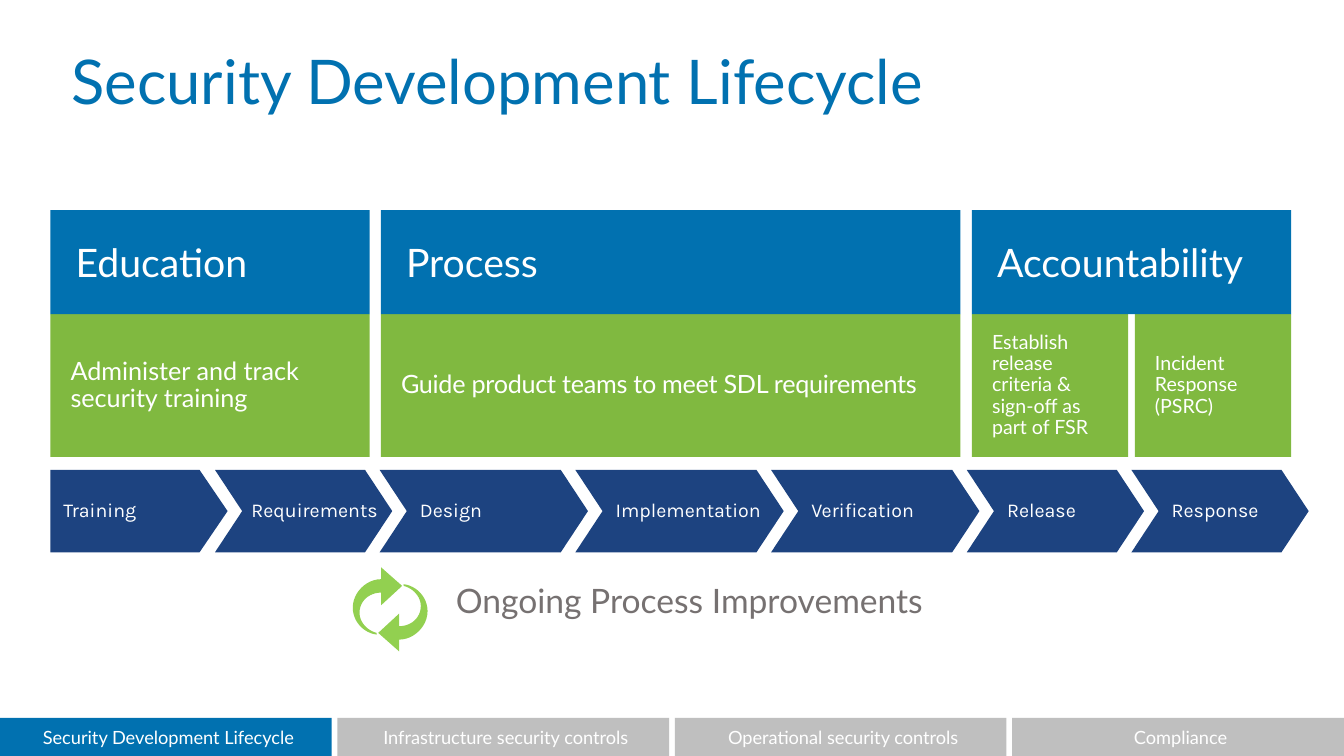
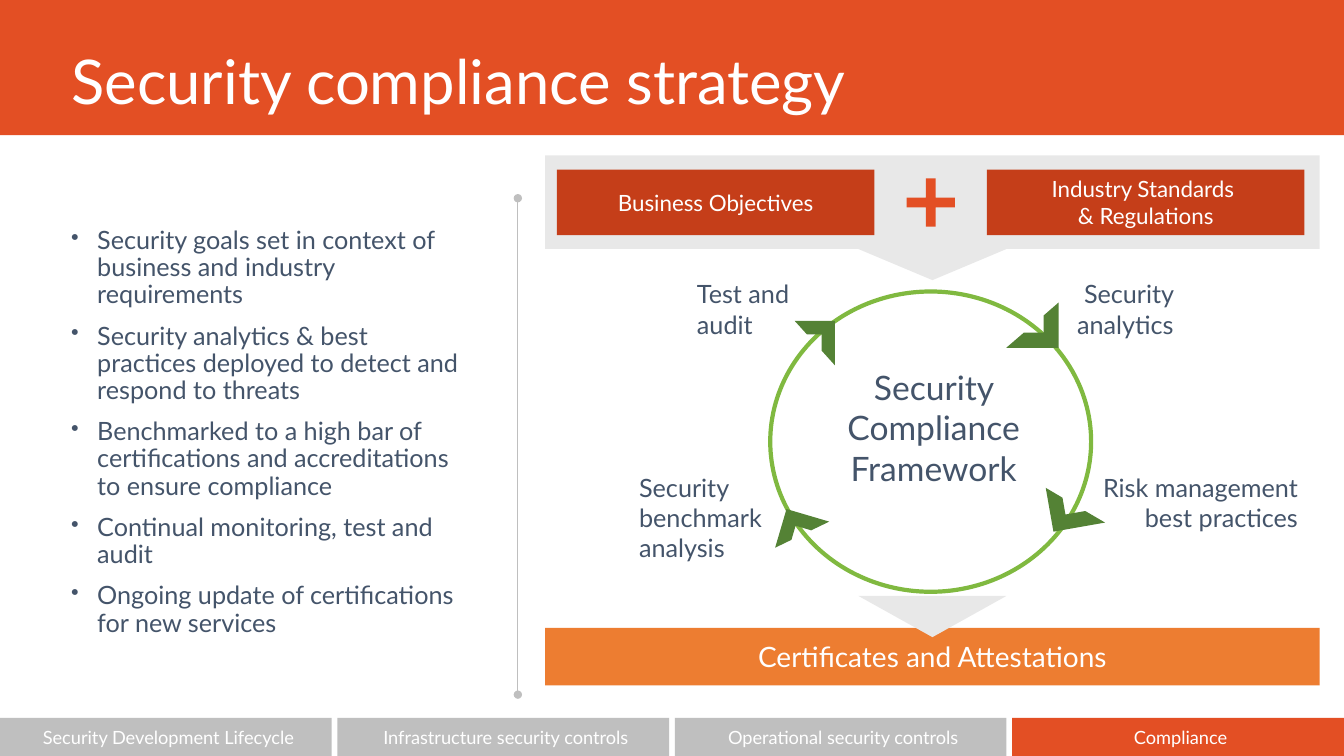
import dataclasses
import lxml.etree
import pptx
import pptx.dml.color
import pptx.enum.shapes
import pptx.enum.text
import pptx.oxml.ns
import pptx.util

RGB = pptx.dml.color.RGBColor
SHAPE = pptx.enum.shapes.MSO_SHAPE
ALIGN = pptx.enum.text.PP_ALIGN
ANCHOR = pptx.enum.text.MSO_ANCHOR
qn = pptx.oxml.ns.qn

WHITE = RGB(0xFF, 0xFF, 0xFF)
BLUE = RGB(0x01, 0x71, 0xB0)
NAVY = RGB(0x1D, 0x43, 0x80)
GREEN = RGB(0x80, 0xB9, 0x40)
DARK_GREEN = RGB(0x54, 0x82, 0x35)
LIME = RGB(0x92, 0xD0, 0x50)
ORANGE_RED = RGB(0xE3, 0x4F, 0x24)
BRICK = RGB(0xC5, 0x3E, 0x19)
ORANGE = RGB(0xED, 0x7D, 0x31)
GREY = RGB(0xBF, 0xBF, 0xBF)
PALE_GREY = RGB(0xE8, 0xE8, 0xE8)
TEXT_GREY = RGB(0x76, 0x71, 0x71)
SLATE = RGB(0x44, 0x54, 0x6A)

COLS, ROWS = 160, 90
CELL = pptx.util.Inches(1) / 12
SECTIONS = ["Security Development Lifecycle", "Infrastructure security controls",
            "Operational security controls", "Compliance"]


def cells(n):
    return pptx.util.Emu(round(n * CELL))


@dataclasses.dataclass
class Box:
    """A rectangle in grid cells."""
    x: float
    y: float
    w: float
    h: float

    def sub(self, x, y, w, h):
        """A box whose corner is counted from this box's corner."""
        return Box(self.x + x, self.y + y, w, h)

    def point(self, across, down):
        """The slide position at the given shares of this box."""
        return cells(self.x + across * self.w), cells(self.y + down * self.h)

    def emu(self):
        return [cells(n) for n in (self.x, self.y, self.w, self.h)]


def write(sp, paragraphs, size, color=WHITE, font="Lato", align=ALIGN.LEFT,
          anchor=ANCHOR.MIDDLE, insets=(1.2, 0.6, 1.2, 0.6), leading=1.0,
          before=0, indent=0, bullet=None, tracking=0, wrap=True):
    tf = sp.text_frame
    tf.auto_size = pptx.enum.text.MSO_AUTO_SIZE.NONE
    tf.word_wrap = wrap
    tf.vertical_anchor = anchor
    tf.margin_left, tf.margin_top, tf.margin_right, tf.margin_bottom = map(cells, insets)
    if isinstance(paragraphs, str):
        paragraphs = [paragraphs]
    for i, text in enumerate(paragraphs):
        p = tf.add_paragraph() if i else tf.paragraphs[0]
        p.text = text
        p.alignment = align
        p.line_spacing = leading
        p.space_before = pptx.util.Pt(before if i else 0)
        pPr = p._p.get_or_add_pPr()
        if indent:
            pPr.set("marL", str(cells(indent)))
        if bullet:
            pPr.set("indent", str(-cells(indent)))
            lxml.etree.SubElement(pPr, qn("a:buSzPct")).set("val", "90000")
            lxml.etree.SubElement(pPr, qn("a:buChar")).set("char", bullet)
        for r in p.runs:
            r.font.size = pptx.util.Pt(size)
            r.font.name = font
            r.font.color.rgb = color
            if tracking:
                r._r.get_or_add_rPr().set("spc", str(round(tracking * 100)))


def paint(sp, fill):
    sp.shadow.inherit = False
    sp.fill.solid()
    sp.fill.fore_color.rgb = fill
    sp.line.fill.background()


def add_shape(s, box, fill, kind=SHAPE.RECTANGLE, adjust=None, turn=0, flip=False):
    sp = s.shapes.add_shape(kind, *box.emu())
    paint(sp, fill)
    if adjust is not None:
        sp.adjustments[0] = adjust
    sp.rotation = turn
    if flip:
        sp.element.spPr.find(qn("a:xfrm")).set("flipV", "1")
    return sp


def add_text(s, box, paragraphs, size, color, **style):
    sp = s.shapes.add_textbox(*box.emu())
    write(sp, paragraphs, size, color, anchor=ANCHOR.TOP, **style)


def title_slide(prs, title, accent, section, color, band=False):
    """Slide with a title and a section bar that marks the current section."""
    s = prs.slides.add_slide(prs.slide_layouts[5])
    if band:
        add_shape(s, Box(0, 0, COLS, 16.1), accent)
    sp = s.shapes.title
    s.shapes._spTree.append(sp.element)
    sp.left, sp.top, sp.width, sp.height = Box(7.3, 5.5, 145.4, 9.2).emu()
    write(sp, title, 44, color, leading=0.9)
    section_bar(s, Box(0, 85.45, COLS, ROWS - 85.45), section, accent)
    return s


def section_bar(s, box, current, accent):
    gap = 0.67
    w = (box.w - gap * (len(SECTIONS) - 1)) / len(SECTIONS)
    for i, name in enumerate(SECTIONS):
        tab = add_shape(s, box.sub(i * (w + gap), 0, w, box.h),
                        accent if name == current else GREY)
        write(tab, name, 13, align=ALIGN.CENTER, insets=(1.2, 0.6, 0.6, 0.6))


def pillars(s, box):
    """Blue headings, each over one or more green cells."""
    gap, split, head = 1.35, 0.8, 12.4
    columns = [
        (38, "Education", 18, 0, [["Administer and track \vsecurity training"]]),
        (69, "Process", 18, -0.2, [["Guide product teams to meet SDL requirements"]]),
        (38, "Accountability", 14, 0,
         [["Establish release criteria & sign-off as part of FSR"],
          ["Incident", "Response (PSRC)"]]),
    ]
    x = 0
    for w, heading, size, tracking, notes in columns:
        note_w = (w - split * (len(notes) - 1)) / len(notes)
        for i, note in enumerate(notes):
            sp = add_shape(s, box.sub(x + i * (note_w + split), head, note_w, box.h - head),
                           GREEN)
            write(sp, note, size, leading=0.9, tracking=tracking,
                  insets=(2.4, 1.4, 2.4, 1.4))
        sp = add_shape(s, box.sub(x, 0, w, head), BLUE)
        write(sp, heading, 28, insets=(3, 0.7, 1.4, 0.7))
        x += w + gap


def phase_arrows(s, box):
    short, long, overlap = 21.1, 24.8, 1.5
    phases = [("Training", short), ("Requirements", short), ("Design", long),
              ("Implementation", long), ("Verification", long),
              ("Release", short), ("Response", short)]
    x = 0
    for i, (name, w) in enumerate(phases):
        sp = add_shape(s, box.sub(x, 0, w, box.h), NAVY,
                       SHAPE.CHEVRON if i else SHAPE.PENTAGON, 0.33 if i else 0.34)
        write(sp, name, 14, font="Karla", leading=0.9, wrap=False,
              indent=1.1 if name == "Requirements" else 1.56, insets=(0, 0.8, 0, 0.8))
        x += w - overlap


def curve(a, b, c, d, steps=12):
    """Points along a cubic Bezier curve, without its start."""
    for i in range(1, steps + 1):
        t = i / steps
        u = 1 - t
        yield tuple(u**3 * a[k] + 3 * u * u * t * b[k] + 3 * u * t * t * c[k] + t**3 * d[k]
                    for k in (0, 1))


def cycle_icon(s, box):
    """Two curved arrows, the second being the first turned half around."""
    tail, inner, neck = (0.32, 0.78), (0.09, 0.54), (0.38, 0.3)
    shoulder, outer, end = (0.38, 0.14), (0, 0.48), (0.32, 0.8)
    outline = [
        tail,
        *curve(tail, (0.19, 0.75), (0.09, 0.65), inner),
        *curve(inner, (0.09, 0.4), (0.22, 0.3), neck),
        (0.38, 0.45), (0.66, 0.22), (0.38, 0), shoulder,
        *curve(shoulder, (0.18, 0.14), (0, 0.3), outer),
        *curve(outer, (0, 0.64), (0.14, 0.78), end),
    ]
    for points in (outline, [(1 - x, 1 - y) for x, y in outline]):
        start, *rest = [box.point(*xy) for xy in points]
        builder = s.shapes.build_freeform(*start)
        builder.add_line_segments(rest, close=True)
        paint(builder.convert_to_shape(), LIME)


def divider(s, x, top, bottom):
    line = s.shapes.add_connector(pptx.enum.shapes.MSO_CONNECTOR.STRAIGHT,
                                  cells(x), cells(top), cells(x), cells(bottom))
    line.line.color.rgb = GREY
    line.line.width = pptx.util.Pt(0.5)
    ln = line.line._get_or_add_ln()
    for end in ("a:headEnd", "a:tailEnd"):
        lxml.etree.SubElement(ln, qn(end)).set("type", "oval")
    lxml.etree.SubElement(line.element.spPr, qn("a:effectLst"))


def down_arrow(s, box, y, h):
    w = 17.6
    add_shape(s, box.sub((box.w - w) / 2, y, w, h), PALE_GREY,
              SHAPE.ISOSCELES_TRIANGLE, turn=180)


def inputs_panel(s, box):
    add_shape(s, box, PALE_GREY)
    for x, text in ((1.4, "Business Objectives"),
                    (52.6, "Industry Standards \v& Regulations")):
        sp = add_shape(s, box.sub(x, 1.7, 37.8, 7.8), BRICK)
        write(sp, text, 16, align=ALIGN.CENTER, insets=(1.5, 0.8, 1.5, 0.8))
    add_shape(s, box.sub(42, 1.7, 7.8, 7.8), ORANGE_RED, SHAPE.MATH_PLUS, 0.15)
    down_arrow(s, box, box.h, 3.7)


def framework_cycle(s, box):
    ring = s.shapes.add_shape(SHAPE.OVAL, *box.sub(26.8, 5.1, 38.2, 35.75).emu())
    ring.shadow.inherit = False
    ring.fill.background()
    ring.line.color.rgb = GREEN
    ring.line.width = pptx.util.Pt(3)
    for place, turn, flip in (((54.9, 6.4, 6.24, 5.4), 180, False),
                              ((60, 27.9, 6.24, 5.3), 350, True),
                              ((28.2, 31.4, 4.8, 5.3), 106.4, True),
                              ((29.7, 8.6, 4.8, 5.3), 180, True)):
        add_shape(s, box.sub(*place), DARK_GREEN, SHAPE.HALF_FRAME, turn=turn, flip=flip)
    for place, text, align in (
            ((59.5, 3, 16.5, 8.5), "Security analytics", ALIGN.RIGHT),
            ((61.2, 26, 29.6, 8.5), "Risk management best practices", ALIGN.RIGHT),
            ((10, 26, 20, 12), "Security benchmark analysis", ALIGN.LEFT),
            ((16.9, 3, 13.7, 8.5), "Test and audit", ALIGN.LEFT)):
        add_text(s, box.sub(*place), text, 18, SLATE, align=align)
    add_text(s, box.sub(30.1, 13.5, 32.3, 15.7), ["Security Compliance", "Framework"],
             24, SLATE, align=ALIGN.CENTER)


def outcome_bar(s, box):
    sp = add_shape(s, box, ORANGE)
    write(sp, "Certificates and Attestations", 20, align=ALIGN.CENTER)
    down_arrow(s, box, -3.8, 4.9)


def lifecycle_slide(prs):
    s = title_slide(prs, "Security Development Lifecycle", BLUE, SECTIONS[0], BLUE)
    pillars(s, Box(6, 25, 147.7, 29.4))
    phase_arrows(s, Box(6, 55.95, 149.8, 9.8))
    add_text(s, Box(8.2, 68.2, 147.7, 6.5), "Ongoing Process Improvements", 24, TEXT_GREY,
             align=ALIGN.CENTER, insets=(1.5, 0.8, 1.5, 0.8))
    cycle_icon(s, Box(42, 67.55, 8.9, 10))


def compliance_slide(prs):
    s = title_slide(prs, "Security compliance strategy", ORANGE_RED, SECTIONS[3], WHITE,
                    band=True)
    goals = [
        "Security goals set in context of business and industry requirements",
        "Security analytics & best practices deployed to detect and respond to threats",
        "Benchmarked to a high bar of certifications and accreditations to ensure compliance",
        "Continual monitoring, test and audit",
        "Ongoing update of certifications for new services",
    ]
    add_text(s, Box(7.3, 26.5, 48.7, 50.5), goals, 18, SLATE, leading=0.9, before=10,
             indent=3.1, bullet="•")
    divider(s, 61.65, 23.6, 82.7)
    x, w = 64.9, 92.2
    inputs_panel(s, Box(x, 18.5, w, 11.15))
    framework_cycle(s, Box(x, 29.6, w, 45))
    outcome_bar(s, Box(x, 74.75, w, 6.85))


def main():
    prs = pptx.Presentation()
    prs.slide_width, prs.slide_height = cells(COLS), cells(ROWS)
    lifecycle_slide(prs)
    compliance_slide(prs)
    prs.save("out.pptx")


if __name__ == "__main__":
    main()
